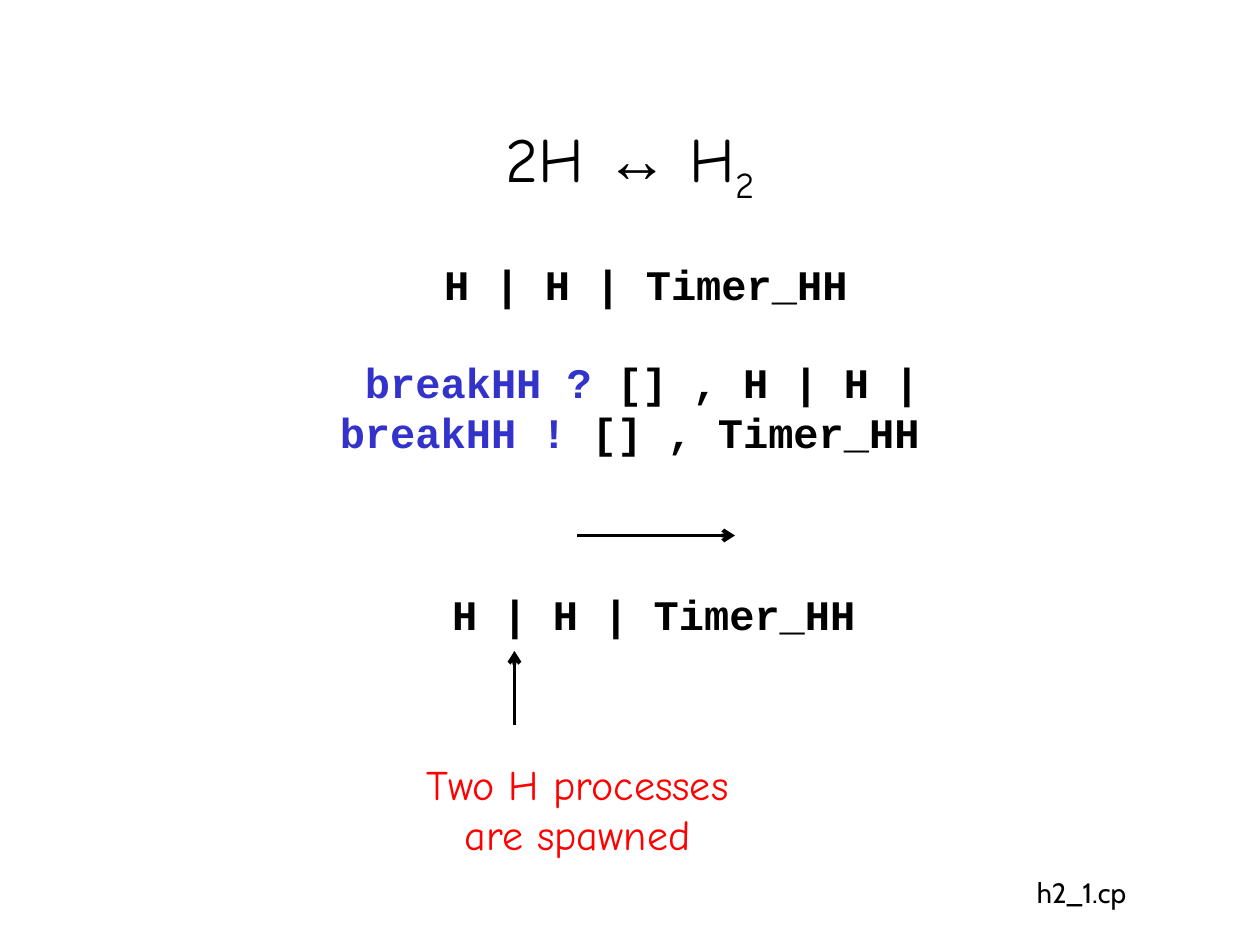
"""Build the slide on the reversible reaction of two H processes."""
from lxml import etree
from pptx import Presentation
from pptx import util as u
from pptx.dml.color import RGBColor
from pptx.enum import text
from pptx.oxml import ns

BLACK = RGBColor(0, 0, 0)
BLUE = RGBColor(0x33, 0x33, 0xCC)
RED = RGBColor(0xFF, 0, 0)

TITLE = {"name": "Comic Neue", "size": u.Pt(36), "bold": False}
SYMBOL = {**TITLE, "name": "Arial"}
CODE = {"name": "Courier New", "size": u.Pt(24), "bold": True}
NOTE = {"name": "Comic Neue", "size": u.Pt(24), "bold": False}
FILE = {"name": "Cabin", "size": u.Pt(16), "bold": False}


def fill_text(box, place, lines, anchor, wrap):
    box.left, box.top, box.width, box.height = [u.Pt(value) for value in place]
    frame = box.text_frame
    settings = {"auto_size": text.MSO_AUTO_SIZE.NONE, "word_wrap": wrap, "vertical_anchor": anchor}
    for name, value in settings.items():
        setattr(frame, name, value)
    for index, line in enumerate(lines):
        para = frame.add_paragraph() if index else frame.paragraphs[0]
        para.alignment = text.PP_ALIGN.CENTER
        for words, style, color in line:
            span = para.add_run()
            span.text = words
            for name, value in style.items():
                setattr(span.font, name, value)
            span.font.color.rgb = color


def add_arrow(shapes, *ends):
    arrow = shapes.add_connector(1, *[u.Pt(value) for value in ends])
    arrow.line.color.rgb = BLACK
    arrow.line.width = u.Pt(2.25)
    etree.SubElement(arrow.line._get_or_add_ln(), ns.qn("a:tailEnd"), type="arrow")
    etree.SubElement(arrow._element.spPr, ns.qn("a:effectLst"))


deck = Presentation()
deck.slide_width, deck.slide_height = u.Pt(720), u.Pt(540)
page = deck.slides.add_slide(deck.slide_layouts[5])

title = page.shapes.title
reaction = [("2H ", TITLE, BLACK), ("↔", SYMBOL, BLACK), (" H", TITLE, BLACK), ("2", TITLE, BLACK)]
fill_text(title, (54, 48, 612, 90), [reaction], text.MSO_ANCHOR.MIDDLE, True)
subscript = title.text_frame.paragraphs[0].runs[-1]
subscript.font._element.set("baseline", "-25000")

spawned = page.shapes.add_group_shape().shapes
explained = page.shapes.add_group_shape().shapes
add_arrow(spawned, 330, 306, 420, 306)
add_arrow(explained, 294, 414, 294, 372)

state = [[("H | H | Timer_HH", CODE, BLACK)]]
exchange = [
    [("breakHH ?", CODE, BLUE), (" [] , H | H |", CODE, BLACK)],
    [("breakHH !", CODE, BLUE), (" [] , Timer_HH ", CODE, BLACK)],
]
remark = [[("Two H processes are spawned", NOTE, RED)]]
source_file = [[("h2_1.cp", FILE, BLACK)]]

top, middle = text.MSO_ANCHOR.TOP, text.MSO_ANCHOR.MIDDLE
for shapes, place, lines, anchor, wrap in [
    (page.shapes, (222, 132, 294, 60), state, middle, False),
    (page.shapes, (187, 200, 360, 65), exchange, top, False),
    (spawned, (251, 333, 245, 36), state, top, False),
    (explained, (228, 414, 204, 96), remark, middle, True),
    (page.shapes, (534, 498, 168, 24), source_file, middle, False),
]:
    fill_text(shapes.add_textbox(0, 0, 0, 0), place, lines, anchor, wrap)

for group in page.shapes:
    if group.shape_type == 6:
        group._element.recalculate_extents()

deck.save("out.pptx")
